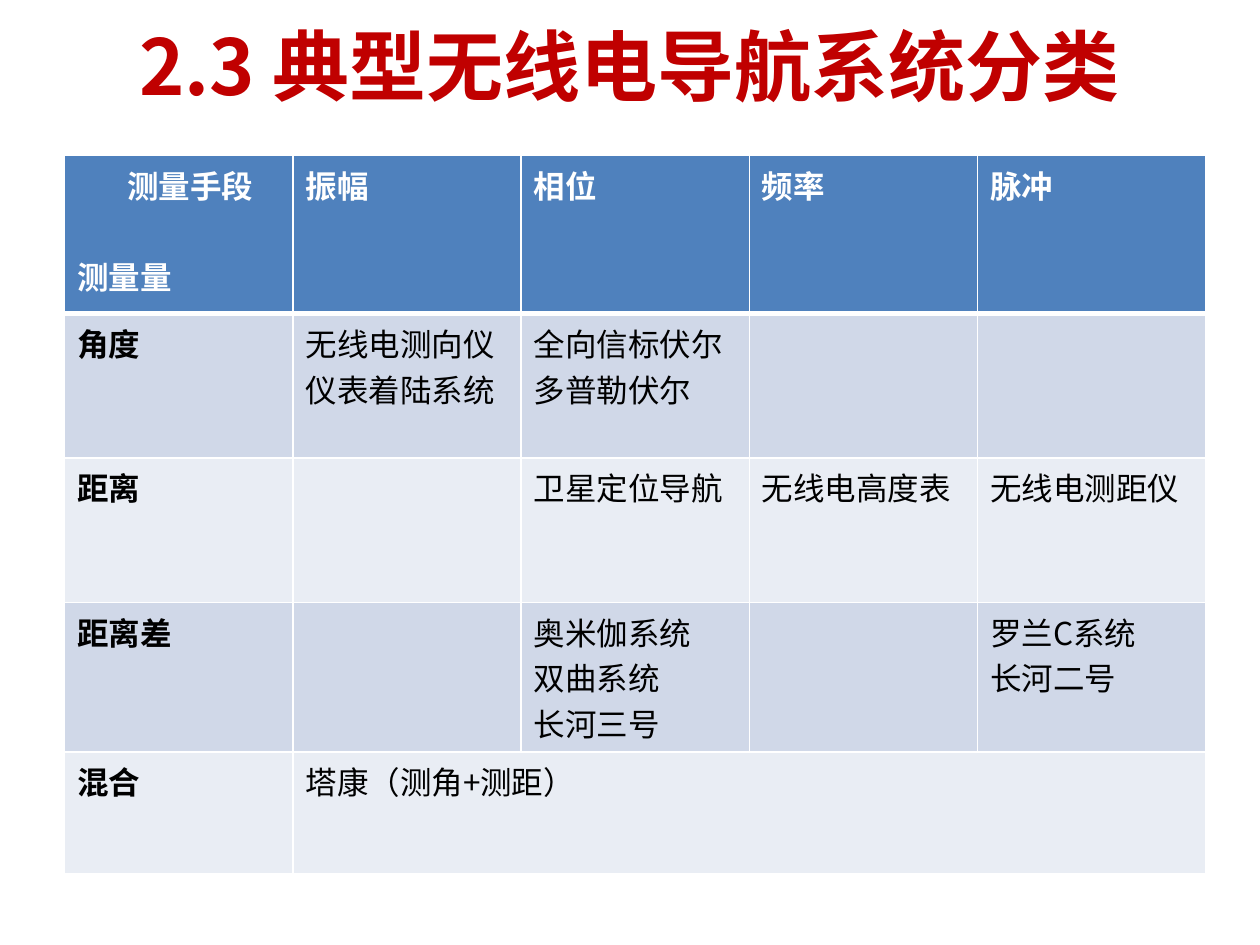
from lxml import etree
from pptx import Presentation
from pptx.dml.color import RGBColor
from pptx.enum.text import MSO_ANCHOR, PP_ALIGN
from pptx.oxml.ns import qn
from pptx.util import Pt

MIDDLE = MSO_ANCHOR.MIDDLE
CENTER = PP_ALIGN.CENTER

FONT = "Noto Sans CJK SC"
BLANK_LAYOUT = 6
WHITE, BLACK, RED = "FFFFFF", "000000", "C00000"
HEADER_FILL = "4F81BD"
BAND_FILLS = ["D0D8E8", "E9EDF4"]

COLUMN_WIDTH = 130.4
ROW_HEIGHTS = [90.5, 82.5, 82.5, 85.5, 69.5]
ROWS = [
    ["测量手段\n测量量", "振幅", "相位", "频率", "脉冲"],
    ["角度", "无线电测向仪仪表着陆系统", "全向信标伏尔\n多普勒伏尔", "", ""],
    ["距离", "", "卫星定位导航", "无线电高度表", "无线电测距仪"],
    ["距离差", "", "奥米伽系统\n双曲系统\n长河三号", "", "罗兰C系统\n长河二号"],
    ["混合", "塔康（测角+测距）", "", "", ""],
]


def rgb(color):
    return RGBColor.from_string(color)


def write_text(text_frame, text, size, color, bold):
    """Write one paragraph per line, with the font for Latin and Chinese letters."""
    text_frame.text = text
    for paragraph in text_frame.paragraphs:
        font = paragraph.font
        font.name = FONT
        font.size = Pt(size)
        font.bold = bold
        font.color.rgb = rgb(color)
        properties = paragraph._p.get_or_add_pPr().find(qn("a:defRPr"))
        latin = properties.find(qn("a:latin"))
        east_asian = etree.Element(qn("a:ea"), typeface=FONT)
        latin.addnext(east_asian)


def add_title(slide, text):
    shape = slide.shapes.add_textbox(Pt(36), Pt(-8), Pt(648), Pt(90))
    text_frame = shape.text_frame
    text_frame.word_wrap = True
    text_frame.vertical_anchor = MIDDLE
    write_text(text_frame, text, 44, RED, True)
    text_frame.paragraphs[0].alignment = CENTER


def set_border(cell, side, color, width):
    """Draw one cell side (lnL, lnR, lnT or lnB); call in that order."""
    properties = cell._tc.get_or_add_tcPr()
    line = etree.Element(qn(f"a:{side}"), w=str(Pt(width)))
    fill = etree.SubElement(line, qn("a:solidFill"))
    etree.SubElement(fill, qn("a:srgbClr"), val=color)
    properties.find(qn("a:solidFill")).addprevious(line)


def split_corner_cell(cell):
    """Set the column heading to the right and the row heading at the bottom."""
    column_heading, row_heading = cell.text_frame.paragraphs
    column_heading._p.get_or_add_pPr().set("marL", str(Pt(28.5)))
    row_heading.space_before = Pt(26)


def add_system_table(slide):
    column_count = len(ROWS[0])
    table = slide.shapes.add_table(
        len(ROWS), column_count, Pt(37), Pt(88.8),
        Pt(COLUMN_WIDTH * column_count), Pt(sum(ROW_HEIGHTS))).table
    for column in table.columns:
        column.width = Pt(COLUMN_WIDTH)
    for row_index, texts in enumerate(ROWS):
        table.rows[row_index].height = Pt(ROW_HEIGHTS[row_index])
        is_header = row_index == 0
        fill = HEADER_FILL if is_header else BAND_FILLS[(row_index - 1) % 2]
        for column_index, text in enumerate(texts):
            cell = table.cell(row_index, column_index)
            cell.fill.solid()
            cell.fill.fore_color.rgb = rgb(fill)
            if is_header:
                for side in ("lnL", "lnR", "lnT"):
                    set_border(cell, side, WHITE, 1)
                set_border(cell, "lnB", WHITE, 3)
            write_text(cell.text_frame, text, 18, WHITE if is_header else BLACK,
                       is_header or column_index == 0)
    split_corner_cell(table.cell(0, 0))
    last_row = len(ROWS) - 1
    table.cell(last_row, 1).merge(table.cell(last_row, column_count - 1))


def main():
    presentation = Presentation()
    presentation.slide_width = Pt(720)
    presentation.slide_height = Pt(540)
    slide = presentation.slides.add_slide(presentation.slide_layouts[BLANK_LAYOUT])
    add_title(slide, "2.3 典型无线电导航系统分类")
    add_system_table(slide)
    presentation.save("out.pptx")


if __name__ == "__main__":
    main()
